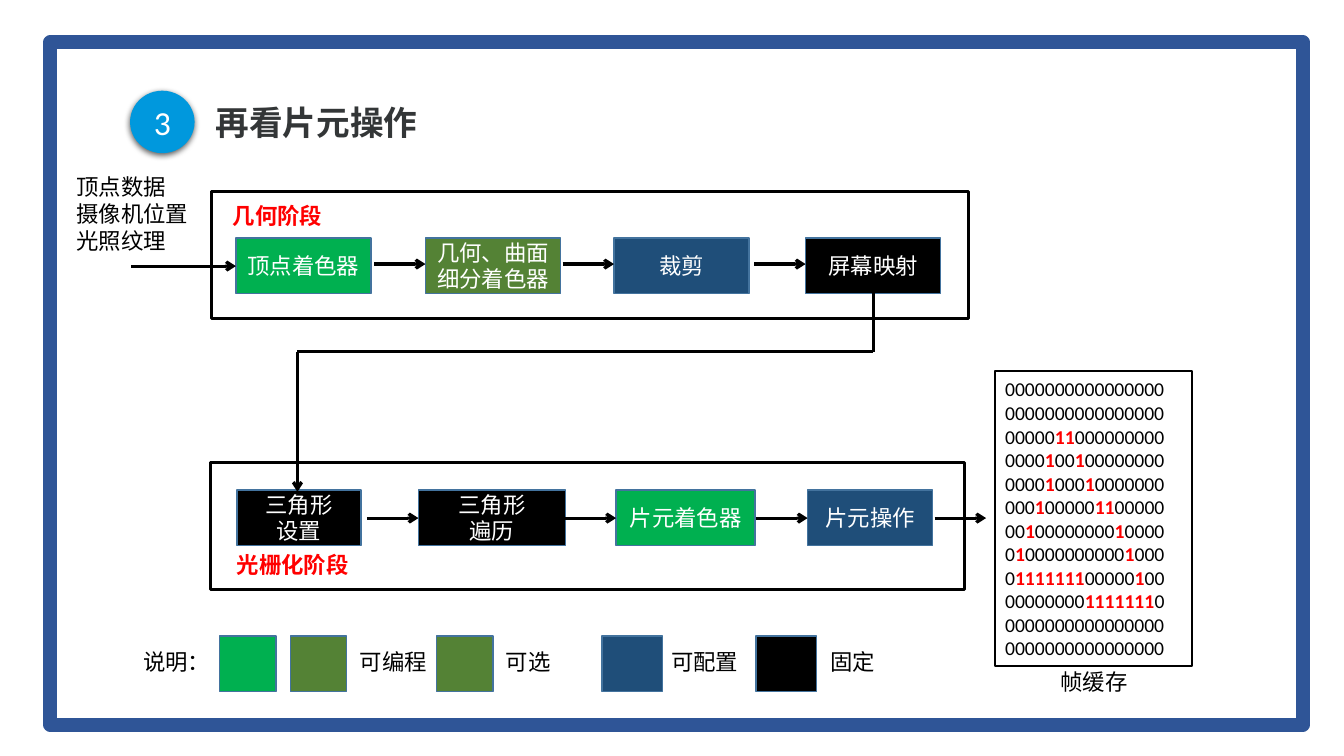
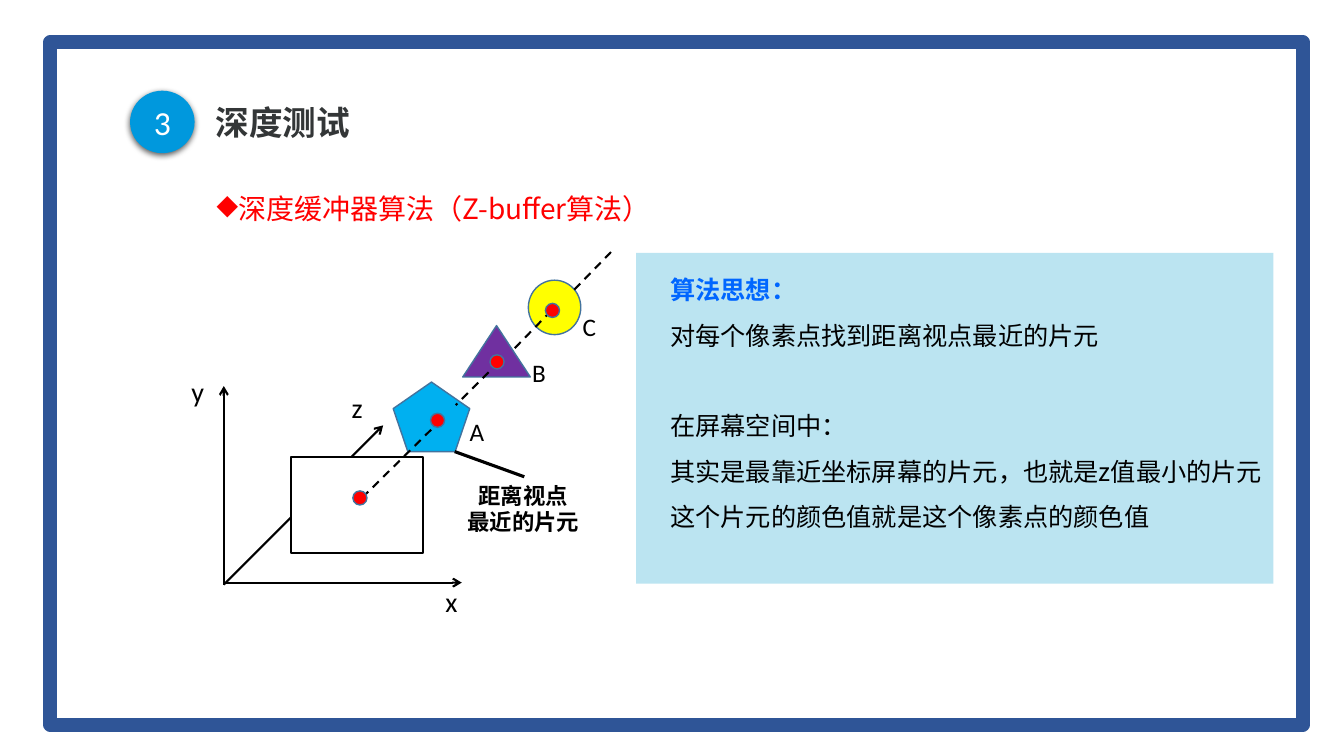
from itertools import groupby, pairwise

from lxml import etree
from pptx import Presentation
from pptx import util as u
from pptx.dml.color import RGBColor
from pptx.enum import dml, shapes, text
from pptx.oxml.ns import qn


class Theme:
    cjk, latin = "Noto Sans CJK SC", "Calibri"
    black, white, red = "000000", "FFFFFF", "FF0000"
    frame, badge, title = "2F5597", "0098DD", "333637"
    green, olive, navy, outline = "00B050", "548235", "1F4E79", "43739E"
    sky, purple, yellow = "00B0F0", "7030A0", "FFFF00"
    panel, heading = "BBE4F1", "0066FF"
    heading_pt, bullet_pt, body_pt, label_pt, bits_pt = 24, 20, 18, 16, 14
    thin, medium, thick, border = 1, 1.5, 2.25, 10


T = Theme
S = shapes.MSO_SHAPE
CENTER, JUSTIFY = text.PP_ALIGN.CENTER, text.PP_ALIGN.JUSTIFY
MIDDLE = text.MSO_ANCHOR.MIDDLE
PX = 9144

BOX_H, ARROW = 55, 51
STAGES = [
    dict(frame=(210, 190, 751, 126), caption=("几何阶段", 221, 196, 110),
         top=236, flow=262, steps=[
             (234, 134, T.green, ["顶点着色器"]),
             (422, 134, T.olive, ["几何、曲面细分着色器"]),
             (609, 134, T.navy, ["裁剪"]),
             (799, 134, T.black, ["屏幕映射"])]),
    dict(frame=(209, 459, 748, 126), caption=("光栅化阶段", 225, 542, 132),
         top=486, flow=514, steps=[
             (235, 123, T.black, ["三角形", "设置"]),
             (415, 146, T.black, ["三角形", "遍历"]),
             (611, 138, T.green, ["片元着色器"]),
             (801, 124, T.navy, ["片元操作"])]),
]
INPUTS = ["顶点数据", "摄像机位置", "光照纹理"]
INPUT_ARROW = [(130, 264), (234, 264)]
OUTPUT_ARROW = [(927, 514), (978, 514)]
STAGE_LINK = [(866, 290), (866, 349), (295, 349), (295, 488)]
BITS = [
    "0000000000000000", "0000000000000000", "0000011000000000",
    "0000100100000000", "0000100010000000", "0001000001100000",
    "0010000000010000", "0100000000001000", "0111111100000100",
    "0000000011111110", "0000000000000000", "0000000000000000",
]
SWATCHES = [(218, 56, T.green), (288, 56, T.olive), (433, 56, T.olive),
            (597, 60, T.navy), (750, 60, T.black)]
LEGEND = [("说明：", 132, 88), ("可编程", 347, 88), ("可选", 492, 65),
          ("可配置", 656, 88), ("固定", 814, 65)]

AXES = [[(222, 580), (222, 383)], [(222, 578), (458, 578)], [(222, 580), (380, 422)]]
AXIS_NAMES = [("y", 180, 367), ("x", 432, 575), ("z", 339, 383)]
FRAGMENTS = [
    (S.REGULAR_PENTAGON, (390, 379, 76, 69), T.sky),
    (S.ISOSCELES_TRIANGLE, (459, 323, 67, 51), T.purple),
    (S.OVAL, (524, 278, 52, 54), T.yellow),
]
FRAGMENT_NAMES = [("A", 456, 408), ("B", 518, 350), ("C", 568, 304)]
SIGHT_LINE = [[(438, 416), (357, 496)], [(547, 308), (509, 347)],
              [(495, 359), (452, 402)], [(606, 250), (568, 289)]]
HITS = [(350, 487), (427, 410), (486, 352), (541, 301)]
IDEA = [
    [("算法思想：", T.heading, True)],
    "对每个像素点找到距离视点最近的片元",
    "在屏幕空间中：",
    "其实是最靠近坐标屏幕的片元，也就是z值最小的片元",
    "这个片元的颜色值就是这个像素点的颜色值",
]


def rgb(value):
    return RGBColor.from_string(value)


def emu(*values):
    return [round(v * PX) for v in values]


def write(sp, paras, size, color=T.black, bold=False, align=None, font=T.cjk, spacing=None):
    tf = sp.text_frame
    for i, para in enumerate(paras):
        p = tf.add_paragraph() if i else tf.paragraphs[0]
        p.alignment = align
        p.line_spacing = spacing
        for words, run_color, run_bold in [(para, color, bold)] if isinstance(para, str) else para:
            r = p.add_run()
            r.text = words
            r.font.name = font
            r.font.size = u.Pt(size)
            r.font.bold = run_bold
            r.font.color.rgb = rgb(run_color)
            etree.SubElement(r.font._element, qn("a:ea"), typeface=font)
    return tf


def shape(s, kind, box, fill=None, line=None, width=T.thin):
    sp = s.shapes.add_shape(kind, *emu(*box))
    sp.shadow.inherit = False
    if fill:
        sp.fill.solid()
        sp.fill.fore_color.rgb = rgb(fill)
    else:
        sp.fill.background()
    if line:
        sp.line.color.rgb = rgb(line)
        sp.line.width = u.Pt(width)
    else:
        sp.line.fill.background()
    sp.text_frame.word_wrap = True
    sp.text_frame.vertical_anchor = MIDDLE
    return sp


def label(s, box, paras, size=T.label_pt, wrap=False, **style):
    sp = s.shapes.add_textbox(*emu(*box))
    sp.text_frame.word_wrap = wrap
    return write(sp, paras, size, **style)


def connect(s, ends, width=T.thick, arrow=False, dashed=False):
    start, end = ends
    cx = s.shapes.add_connector(shapes.MSO_CONNECTOR.STRAIGHT, *emu(*start, *end))
    cx.line.color.rgb = rgb(T.black)
    cx.line.width = u.Pt(width)
    if dashed:
        cx.line.dash_style = dml.MSO_LINE.DASH
    if arrow:
        etree.SubElement(cx.line._get_or_add_ln(), qn("a:tailEnd"), type="arrow")
    etree.SubElement(cx._element.spPr, qn("a:effectLst"))


def new_slide(prs, title):
    s = prs.slides.add_slide(prs.slide_layouts[6])
    shape(s, S.RECTANGLE, (50, 42, 1242, 677), line=T.frame, width=T.border)
    tf = label(s, (204, 93, 835, 61), [title], T.heading_pt, wrap=True,
               color=T.title, bold=True, spacing=0.9)
    tf.vertical_anchor = MIDDLE
    badge = shape(s, S.OVAL, (129, 90, 64, 62), T.badge)
    write(badge, ["3"], T.heading_pt, T.white, align=CENTER, font=T.latin)
    effects = badge._element.spPr.find(qn("a:effectLst"))
    shadow = etree.SubElement(effects, qn("a:outerShdw"), blurRad=str(u.Pt(4.5)),
                              dist=str(u.Pt(1.5)), dir="5400000")
    tint = etree.SubElement(shadow, qn("a:srgbClr"), val=T.black)
    etree.SubElement(tint, qn("a:alpha"), val="63000")
    return s


def pipeline_slide(prs):
    s = new_slide(prs, "再看片元操作")
    for stage in STAGES:
        shape(s, S.RECTANGLE, stage["frame"], line=T.black, width=T.thick)
        caption, x, y, w = stage["caption"]
        label(s, (x, y, w, 37), [caption], color=T.red, bold=True)
        for i, (x, w, fill, name) in enumerate(stage["steps"]):
            sp = shape(s, S.RECTANGLE, (x, stage["top"], w, BOX_H), fill, T.outline)
            write(sp, name, T.label_pt, T.white, align=CENTER)
            if i:
                connect(s, [(x - ARROW, stage["flow"]), (x, stage["flow"])], arrow=True)

    label(s, (66, 167, 132, 91), INPUTS)
    for ends in (INPUT_ARROW, OUTPUT_ARROW):
        connect(s, ends, arrow=True)
    for ends in pairwise(STAGE_LINK):
        connect(s, ends, arrow=ends[1] == STAGE_LINK[-1])

    rows = [[("".join(bits), T.red if bit == "1" else T.black, bit == "1")
             for bit, bits in groupby(row)] for row in BITS]
    buffer = shape(s, S.RECTANGLE, (987, 368, 195, 293), line=T.black, width=T.medium)
    write(buffer, rows, T.bits_pt, align=JUSTIFY, font=T.latin)
    label(s, (1041, 658, 88, 37), ["帧缓存"], align=CENTER)

    for x, w, fill in SWATCHES:
        shape(s, S.RECTANGLE, (x, 631, w, BOX_H), fill, T.outline)
    for name, x, w in LEGEND:
        label(s, (x, 638, w, 37), [name])


def depth_slide(prs):
    s = new_slide(prs, "深度测试")
    tf = label(s, (205, 168, 1043, 69), ["深度缓冲器算法（Z-buffer算法）"], T.bullet_pt,
               wrap=True, color=T.red, spacing=1.5)
    etree.SubElement(tf.paragraphs[0]._p.get_or_add_pPr(), qn("a:buChar"), char="◆")

    for ends in AXES:
        connect(s, ends, T.medium, arrow=True)
    for name, x, y in AXIS_NAMES:
        label(s, (x, y, 33, 44), [name], T.bullet_pt, font=T.latin)
    shape(s, S.RECTANGLE, (289, 453, 131, 96), T.white, T.black, T.medium)
    for kind, box, fill in FRAGMENTS:
        shape(s, kind, box, fill, T.outline)
    for ends in SIGHT_LINE:
        connect(s, ends, T.medium, dashed=True)
    for x, y in HITS:
        shape(s, S.OVAL, (x, y, 14, 14), T.red, T.outline)
    for name, x, y in FRAGMENT_NAMES:
        label(s, (x, y, 34, 40), [name], T.body_pt, font=T.latin)
    label(s, (453, 473, 132, 64), ["距离视点", "最近的片元"], bold=True, align=CENTER)
    connect(s, [(451, 448), (520, 473)])

    panel = shape(s, S.RECTANGLE, (631, 251, 632, 328), T.panel)
    tf = write(panel, IDEA, T.body_pt, align=text.PP_ALIGN.LEFT, spacing=1.5)
    tf.margin_bottom = emu(50)[0]
    for p in tf.paragraphs:
        p._p.get_or_add_pPr().set("indent", str(24 * PX))
    tf.paragraphs[2].space_before = u.Pt(32.5)


def main():
    prs = Presentation()
    prs.slide_width, prs.slide_height = emu(1333, 750)
    pipeline_slide(prs)
    depth_slide(prs)
    prs.save("out.pptx")


if __name__ == "__main__":
    main()
